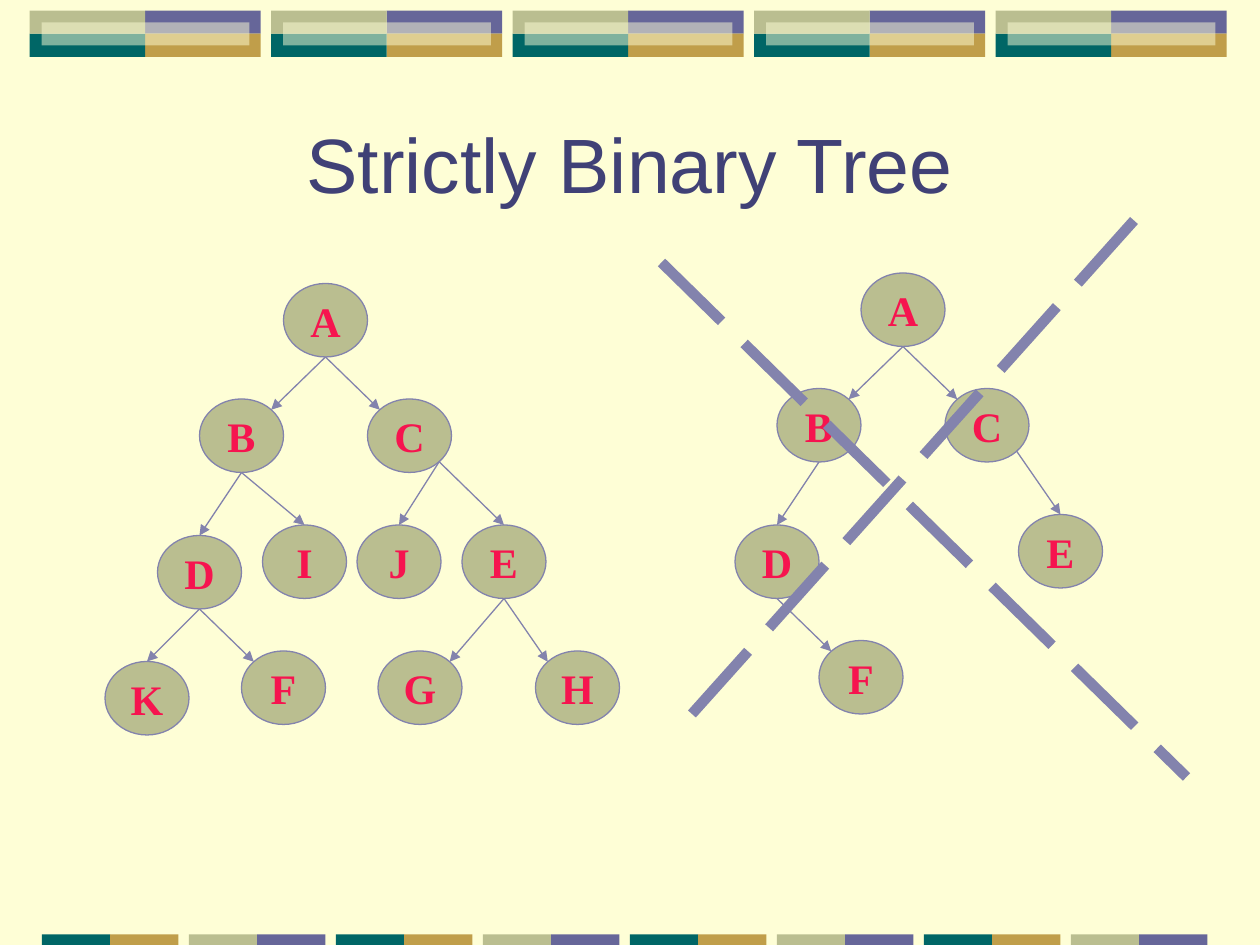
from math import sqrt

from lxml import etree
from pptx import Presentation
from pptx.dml.color import RGBColor
from pptx.enum import dml, shapes, text
from pptx.oxml import ns
from pptx.util import Pt

CREAM = RGBColor(0xFE, 0xFE, 0xD6)
SAGE = RGBColor(0xBA, 0xBE, 0x90)
VIOLET = RGBColor(0x66, 0x66, 0x99)
GOLD = RGBColor(0xC0, 0x9E, 0x4A)
TEAL = RGBColor(0x00, 0x66, 0x66)
NAVY = RGBColor(0x40, 0x41, 0x76)
LAVENDER = RGBColor(0x83, 0x83, 0xAD)
RED = RGBColor(0xF6, 0x14, 0x4F)

NODE_W, NODE_H = 48, 42
DIAGONAL = sqrt(0.5)
# Places on a node's outline, as factors of its half width and half height
SITES = {
    "top": (0, -1),
    "top left": (-DIAGONAL, -DIAGONAL),
    "top right": (DIAGONAL, -DIAGONAL),
    "bottom": (0, 1),
    "bottom right": (DIAGONAL, DIAGONAL),
}

# Each tree: left and top of its nodes, then parent, child and the joined sites
TREES = [
    (
        {"A": (162, 162), "B": (114, 228), "C": (210, 228), "D": (90, 306),
         "F": (138, 372), "E": (264, 300), "G": (216, 372), "H": (306, 372),
         "K": (60, 378), "I": (150, 300), "J": (204, 300)},
        [("A", "C", "bottom", "top left"), ("A", "B", "bottom", "top right"),
         ("B", "D", "bottom", "top"), ("B", "I", "bottom", "top"),
         ("C", "E", "bottom right", "top"), ("C", "J", "bottom right", "top"),
         ("D", "F", "bottom", "top left"), ("D", "K", "bottom", "top"),
         ("E", "G", "bottom", "top right"), ("E", "H", "bottom", "top left")],
    ),
    (
        {"A": (492, 156), "B": (444, 222), "C": (540, 222),
         "D": (420, 300), "F": (468, 366), "E": (582, 294)},
        [("A", "C", "bottom", "top left"), ("A", "B", "bottom", "top right"),
         ("B", "D", "bottom", "top"), ("D", "F", "bottom", "top left"),
         ("C", "E", "bottom right", "top")],
    ),
]
CROSS = [((378, 150), (678, 444)), ((648, 126), (390, 414))]


def add_tile(group, left, top, width, height, color):
    tile = group.shapes.add_shape(
        shapes.MSO_SHAPE.RECTANGLE, Pt(left), Pt(top), Pt(width), Pt(height))
    tile.shadow.inherit = False
    tile.fill.solid()
    tile.fill.fore_color.rgb = color
    tile.line.fill.background()
    return tile


def add_line(page, start, end, width):
    line = page.shapes.add_connector(
        shapes.MSO_CONNECTOR.STRAIGHT, *[Pt(value) for value in (*start, *end)])
    line.line.color.rgb = LAVENDER
    line.line.width = Pt(width)
    etree.SubElement(line._element.spPr, ns.qn("a:effectLst"))
    return line


deck = Presentation()
deck.slide_width, deck.slide_height = Pt(720), Pt(540)
page = deck.slides.add_slide(deck.slide_layouts[5])
page.background.fill.solid()
page.background.fill.fore_color.rgb = CREAM

# Top border: five blocks of four tiles under a translucent band
for block in range(5):
    group = page.shapes.add_group_shape()
    left = 17 + 138 * block
    for column, row, color in [(1, 0, VIOLET), (1, 1, GOLD), (0, 1, TEAL), (0, 0, SAGE)]:
        add_tile(group, left + 66 * column, 6 + 13.25 * row, 66, 13.25, color)
    band = add_tile(group, left + 6.75, 12.75, 118.75, 13.25, CREAM)
    color_node = band._element.spPr.find(".//" + ns.qn("a:srgbClr"))
    etree.SubElement(color_node, ns.qn("a:alpha"), val="50000")

# Bottom border: pairs of tiles in alternating colours
group = page.shapes.add_group_shape()
for pair in range(8):
    for half, color in enumerate([(TEAL, GOLD), (SAGE, VIOLET)][pair % 2]):
        add_tile(group, 24 + 84 * pair + 39 * half, 534, 39, 6, color)

title = page.shapes.title
title.left, title.top, title.width, title.height = Pt(54), Pt(48), Pt(612), Pt(90)
title.text_frame.vertical_anchor = text.MSO_ANCHOR.MIDDLE
para = title.text_frame.paragraphs[0]
para.alignment = text.PP_ALIGN.CENTER
span = para.add_run()
span.text = "Strictly Binary Tree"
span.font.size = Pt(44)
span.font.name = "Arial"
span.font.color.rgb = NAVY

for places, edges in TREES:
    nodes = {}
    for letter, (left, top) in places.items():
        node = page.shapes.add_shape(
            shapes.MSO_SHAPE.OVAL, Pt(left), Pt(top), Pt(NODE_W), Pt(NODE_H))
        node.shadow.inherit = False
        node.fill.solid()
        node.fill.fore_color.rgb = SAGE
        node.line.color.rgb = LAVENDER
        node.line.width = Pt(0.75)
        node.text_frame.word_wrap = False
        node.text_frame.vertical_anchor = text.MSO_ANCHOR.MIDDLE
        para = node.text_frame.paragraphs[0]
        para.alignment = text.PP_ALIGN.CENTER
        span = para.add_run()
        span.text = letter
        span.font.size = Pt(24)
        span.font.name = "Times New Roman"
        span.font.bold = True
        span.font.color.rgb = RED
        nodes[letter] = node

    for parent, child, *sites in edges:
        ends = []
        for letter, site in zip((parent, child), sites):
            left, top = places[letter]
            across, down = SITES[site]
            ends.append((left + NODE_W / 2 * (1 + across), top + NODE_H / 2 * (1 + down)))
        arrow = add_line(page, *ends, 0.75)
        etree.SubElement(arrow.line._get_or_add_ln(), ns.qn("a:tailEnd"), type="triangle")
        if sites[1] == "top":
            arrow.end_connect(nodes[child], 0)

# The cross marks the right-hand tree as not strictly binary
for start, end in CROSS:
    stroke = add_line(page, start, end, 6)
    stroke.line.dash_style = dml.MSO_LINE.LONG_DASH

deck.save("out.pptx")
